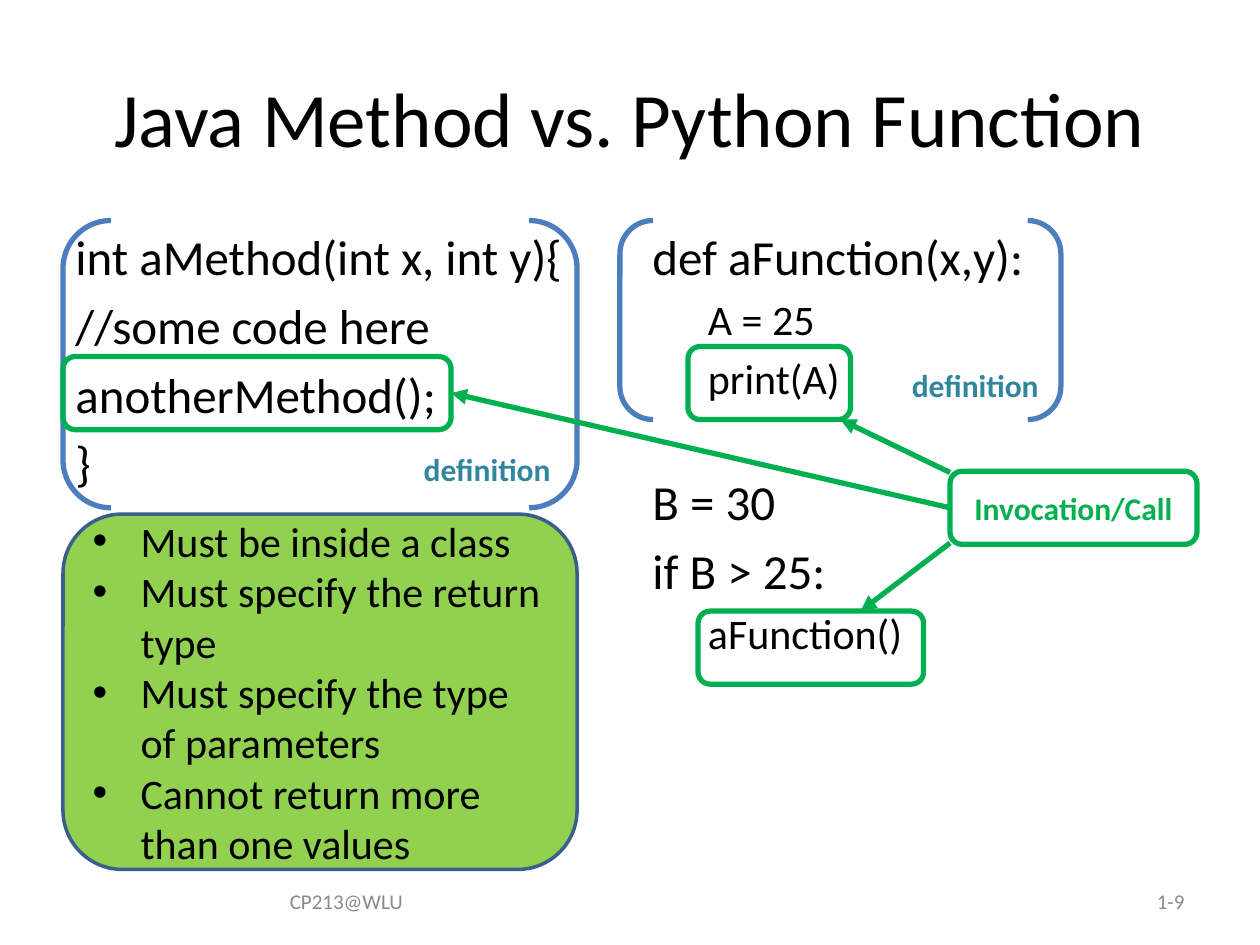
from lxml import etree
from pptx import Presentation
from pptx.dml.color import RGBColor
from pptx.enum.shapes import MSO_CONNECTOR, MSO_SHAPE
from pptx.enum.text import MSO_ANCHOR, PP_ALIGN
from pptx.oxml.ns import qn
from pptx.util import Inches, Pt

LEFT, CENTER, RIGHT = PP_ALIGN.LEFT, PP_ALIGN.CENTER, PP_ALIGN.RIGHT
TOP, MIDDLE, BOTTOM = MSO_ANCHOR.TOP, MSO_ANCHOR.MIDDLE, MSO_ANCHOR.BOTTOM
ROUNDED, BRACKETS = MSO_SHAPE.ROUNDED_RECTANGLE, MSO_SHAPE.DOUBLE_BRACKET
STRAIGHT = MSO_CONNECTOR.STRAIGHT

COLORS = {
    "text": "000000",
    "footer": "898989",
    "number": "8C8C8C",
    "rules": "92D050",
    "rules_edge": "3A5F8C",
    "bracket": "4B7EBC",
    "definition": "31859C",
    "call": "00B050",
}


def color(name):
    return RGBColor.from_string(COLORS[name])


def add_text(frame, text, *, size=18, ink="text", bold=False, align=LEFT,
             anchor=TOP, before=0, margin=0, bullet=None):
    frame.word_wrap = True
    frame.vertical_anchor = anchor
    paragraph = frame.paragraphs[0]
    if paragraph.runs:
        paragraph = frame.add_paragraph()
    paragraph.alignment = align
    paragraph.space_before = Pt(before)
    properties = paragraph._p.get_or_add_pPr()
    properties.set("marL", str(Inches(margin)))
    properties.set("indent", str(Inches(-margin if bullet else 0)))
    if bullet:
        etree.SubElement(properties, qn("a:buFont")).set("typeface", "Arial")
        etree.SubElement(properties, qn("a:buChar")).set("char", bullet)
    run = paragraph.add_run()
    run.text = text
    run.font.name = "Calibri"
    run.font.size = Pt(size)
    run.font.bold = bold
    run.font.color.rgb = color(ink)


class SlideBuilder:
    def __init__(self, slide):
        self.slide = slide

    def title(self, text, box):
        title = self.slide.shapes.title
        title.left, title.top, title.width, title.height = map(Inches, box)
        add_text(title.text_frame, text, size=44, align=CENTER, anchor=MIDDLE)

    def text_box(self, box):
        return self.slide.shapes.add_textbox(*map(Inches, box)).text_frame

    def code(self, box, lines):
        frame = self.text_box(box)
        for text, level, before in lines:
            add_text(frame, text, size=28 - 4 * level, before=before,
                     margin=0.44 * level)

    def outline(self, kind, box, edge, width=3, fill=None):
        shape = self.slide.shapes.add_shape(kind, *map(Inches, box))
        shape.shadow.inherit = False
        if fill:
            shape.fill.solid()
            shape.fill.fore_color.rgb = color(fill)
        else:
            shape.fill.background()
        shape.line.color.rgb = color(edge)
        shape.line.width = Pt(width)
        return shape.text_frame

    def arrow(self, start, end):
        line = self.slide.shapes.add_connector(STRAIGHT, *map(Inches, start + end))
        line.line.color.rgb = color("call")
        line.line.width = Pt(3)
        tail = etree.SubElement(line.line._get_or_add_ln(), qn("a:tailEnd"))
        tail.set("type", "triangle")
        etree.SubElement(line._element.spPr, qn("a:effectLst"))


def main():
    presentation = Presentation()
    presentation.slide_width, presentation.slide_height = Inches(10), Inches(7.5)
    page = SlideBuilder(presentation.slides.add_slide(presentation.slide_layouts[5]))

    page.title("Java Method vs. Python Function", (0.5, 0.3, 9, 1.25))

    page.code((0.5, 1.75, 4.42, 4.95), [
        ("int aMethod(int x, int y){", 0, 5.6),
        ("//some code here", 0, 5.6),
        ("anotherMethod();", 0, 5.6),
        ("}", 0, 5.6),
    ])
    page.code((5.08, 1.75, 4.42, 4.95), [
        ("def aFunction(x,y):", 0, 5.6),
        ("A = 25", 1, 4.8),
        ("print(A)", 1, 4.8),
        ("B = 30", 0, 39),
        ("if B > 25:", 0, 5.6),
        ("aFunction()", 1, 4.8),
    ])

    add_text(page.text_box((0.5, 6.95, 4.5, 0.4)), "CP213@WLU", size=12,
             ink="footer", align=CENTER, anchor=MIDDLE)
    add_text(page.text_box((7.17, 6.95, 2.33, 0.4)), "1-9", size=12,
             ink="number", align=RIGHT, anchor=MIDDLE)

    java_rules = page.outline(ROUNDED, (0.5, 4.08, 4.08, 2.82), "rules_edge", 2, "rules")
    for rule in ("Must be inside a class",
                 "Must specify the return type",
                 "Must specify the type of parameters",
                 "Cannot return more than one values"):
        add_text(java_rules, rule, size=24, anchor=MIDDLE, margin=0.38, bullet="•")

    for definition_box in ((0.5, 1.75, 4.08, 2.28), (4.92, 1.75, 3.5, 1.58)):
        definition = page.outline(BRACKETS, definition_box, "bracket")
        add_text(definition, "definition", ink="definition", bold=True,
                 align=RIGHT, anchor=BOTTOM)

    for left, top, width in ((0.5, 2.83, 3.08), (5.46, 2.75, 1.29), (5.54, 4.85, 1.79)):
        page.outline(ROUNDED, (left, top, width, 0.58), "call")
    call_label = page.outline(ROUNDED, (7.54, 3.74, 1.96, 0.58), "call")
    add_text(call_label, "Invocation/Call", ink="call", bold=True,
             align=CENTER, anchor=MIDDLE)

    for start_y, call_point in ((3.75, (6.67, 3.33)), (4.03, (3.58, 3.12)),
                                (4.31, (6.83, 4.85))):
        page.arrow((7.54, start_y), call_point)

    presentation.save("out.pptx")


if __name__ == "__main__":
    main()
